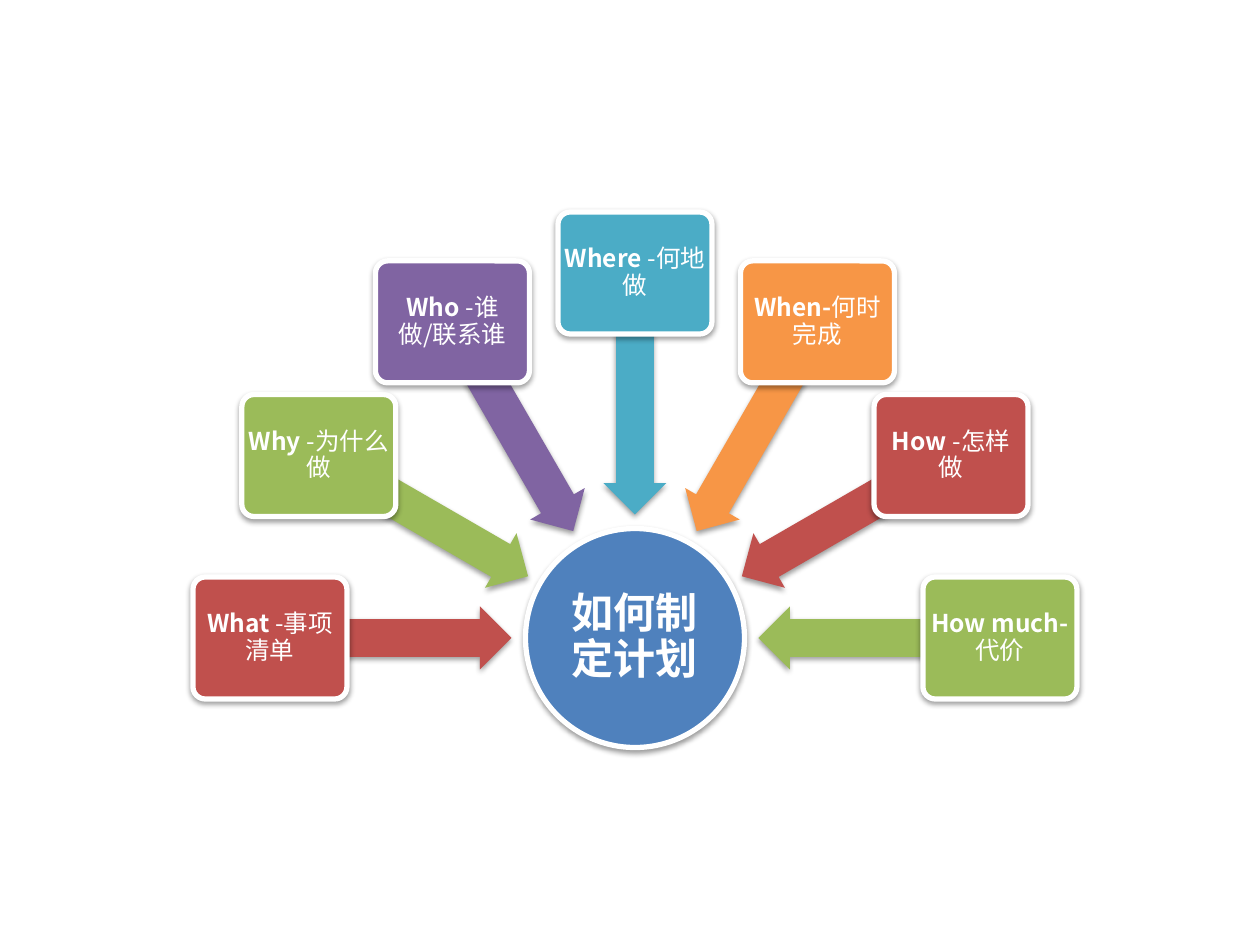
from math import cos, radians, sin

from lxml.etree import SubElement
from pptx import Presentation
from pptx.dml.color import RGBColor
from pptx.enum.shapes import MSO_SHAPE
from pptx.enum.text import MSO_ANCHOR, PP_ALIGN
from pptx.oxml.ns import qn
from pptx.util import Emu, Pt

FONT = "Noto Sans CJK SC"
COLORS = {
    "white": "FFFFFF",
    "shadow": "000000",
    "blue": "4F81BD",
    "red": "C0504D",
    "green": "9BBB59",
    "purple": "8064A2",
    "teal": "4BACC6",
    "orange": "F79646",
}
CENTER_X, CENTER_Y = 635, 638
HUB_SIZE = 219
CARD_W, CARD_H, CARD_RADIUS = 154, 122, 365
ARROW_W, ARROW_H, ARROW_RADIUS = 241, 63, 244
START_ANGLE, STEP_ANGLE = 180, 30
QUESTIONS = [
    ("What ", "-事项清单", "red"),
    ("Why ", "-为什么做", "green"),
    ("Who ", "-谁做/联系谁", "purple"),
    ("Where ", "-何地做", "teal"),
    ("When-", "何时完成", "orange"),
    ("How ", "-怎样做", "red"),
    ("How much-", "代价", "green"),
]


def px(n):
    return Emu(round(n * 914400 / 126))


def rgb(name):
    return RGBColor.from_string(COLORS[name])


def add_shadow(sp):
    sp.shadow.inherit = False
    effects = sp._element.spPr.find(qn("a:effectLst"))
    shadow = SubElement(effects, qn("a:outerShdw"), blurRad="40000",
                        dist="20000", dir="5400000", rotWithShape="0")
    color = SubElement(shadow, qn("a:srgbClr"), val=COLORS["shadow"])
    SubElement(color, qn("a:alpha"), val="38000")


def add_shape(s, kind, angle, radius, w, h, color):
    x = CENTER_X + radius * cos(radians(angle))
    y = CENTER_Y + radius * sin(radians(angle))
    sp = s.shapes.add_shape(kind, px(x - w / 2), px(y - h / 2), px(w), px(h))
    sp.fill.solid()
    sp.fill.fore_color.rgb = rgb(color)
    sp.line.fill.background()
    add_shadow(sp)
    return sp


def add_border(sp):
    sp.line.color.rgb = rgb("white")
    sp.line.width = Pt(3)


def set_text(sp, parts, size):
    tf = sp.text_frame
    tf.word_wrap = True
    tf.vertical_anchor = MSO_ANCHOR.MIDDLE
    tf.margin_left = tf.margin_right = px(3)
    tf.margin_top = tf.margin_bottom = px(3)
    p = tf.paragraphs[0]
    p.alignment = PP_ALIGN.CENTER
    p.line_spacing = 0.9
    for text, bold in parts:
        r = p.add_run()
        r.text = text
        r.font.name = FONT
        r.font.size = Pt(size)
        r.font.bold = bold
        r.font.color.rgb = rgb("white")
        SubElement(r.font._element, qn("a:ea"), typeface=FONT)


def add_hub(s, text):
    sp = add_shape(s, MSO_SHAPE.OVAL, 0, 0, HUB_SIZE, HUB_SIZE, "blue")
    add_border(sp)
    set_text(sp, [(text, True)], 24)


def add_arrow(s, angle, color):
    sp = add_shape(s, MSO_SHAPE.LEFT_ARROW, angle, ARROW_RADIUS,
                   ARROW_W, ARROW_H, color)
    sp.adjustments[0] = 0.6
    sp.adjustments[1] = 0.5
    sp.rotation = angle


def add_card(s, angle, question, answer, color):
    sp = add_shape(s, MSO_SHAPE.ROUNDED_RECTANGLE, angle, CARD_RADIUS,
                   CARD_W, CARD_H, color)
    sp.adjustments[0] = 0.1
    add_border(sp)
    set_text(sp, [(question, True), (answer, False)], 14)


def main():
    prs = Presentation()
    prs.slide_width, prs.slide_height = px(1260), px(945)
    s = prs.slides.add_slide(prs.slide_layouts[6])
    add_hub(s, "如何制定计划")
    for i, (question, answer, color) in enumerate(QUESTIONS):
        angle = START_ANGLE + i * STEP_ANGLE
        add_arrow(s, angle % 360, color)
        add_card(s, angle, question, answer, color)
    prs.save("out.pptx")


if __name__ == "__main__":
    main()
